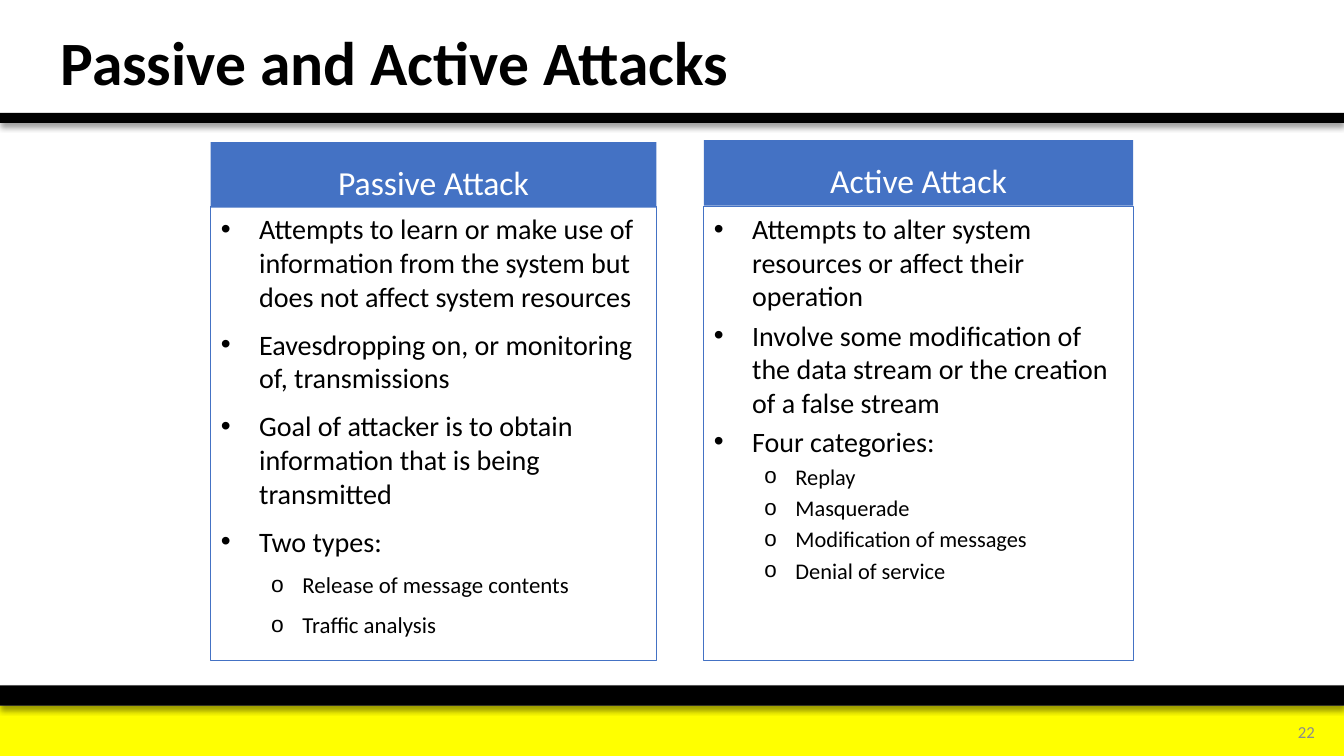
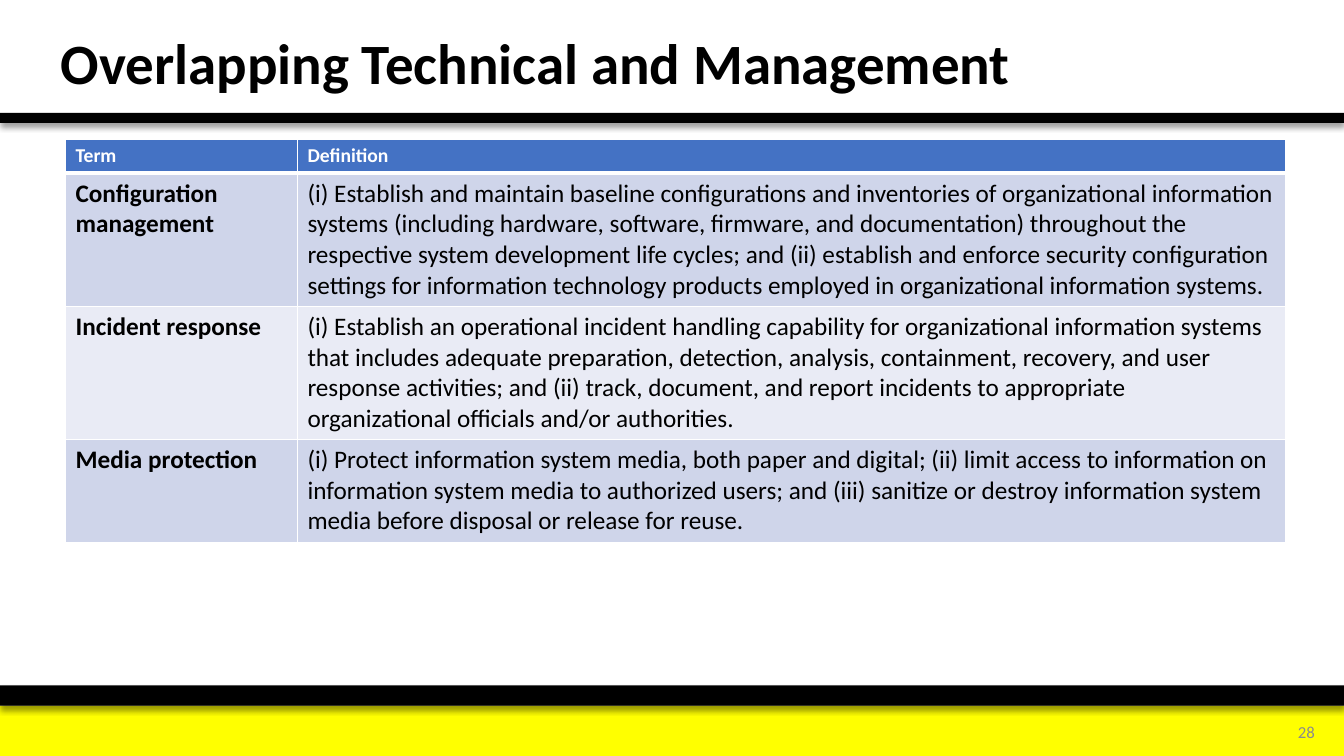
from dataclasses import dataclass

from lxml.etree import SubElement
from pptx import Presentation
from pptx.dml.color import RGBColor
from pptx.enum.shapes import MSO_SHAPE
from pptx.enum.text import MSO_ANCHOR, MSO_AUTO_SIZE, PP_ALIGN
from pptx.oxml import parse_xml
from pptx.oxml.ns import nsdecls, qn
from pptx.util import Emu, Pt

PX = 9144  # 100 px to the inch
PAGE_WIDTH, PAGE_HEIGHT = 1333, 750


@dataclass(frozen=True)
class Theme:
    font: str = "Calibri"
    ink: str = "000000"
    paper: str = "FFFFFF"
    accent: str = "4472C4"
    footer: str = "FFFF00"
    muted: str = "8C8C8C"
    stripes: tuple = ("CFD5EA", "E9EBF5")
    heading: float = 24
    number: float = 12
    table_head: float = 14
    table_body: float = 18


THEME = Theme()

# Content
ATTACKS = {"title": "Passive and Active Attacks", "title_size": 44, "number": "22"}
# Items are (level, text); sizes are given per level
COLUMNS = [
    {
        "heading": "Passive Attack", "left": 209, "top": 141, "width": 442,
        "sizes": (20.1, 16.3), "after": 6,
        "items": [
            (0, "Attempts to learn or make use of information from the system "
                "but does not affect system resources"),
            (0, "Eavesdropping on, or monitoring of, transmissions"),
            (0, "Goal of attacker is to obtain information that is being transmitted"),
            (0, "Two types:"),
            (1, "Release of message contents"),
            (1, "Traffic analysis"),
        ],
    },
    {
        "heading": "Active Attack", "left": 698, "top": 139, "width": 426,
        "sizes": (20, 16), "after": 0,
        "items": [
            (0, "Attempts to alter system resources or affect their operation"),
            (0, "Involve some modification of the data stream or the creation "
                "of a false stream"),
            (0, "Four categories:"),
            (1, "Replay"),
            (1, "Masquerade"),
            (1, "Modification of messages"),
            (1, "Denial of service"),
        ],
    },
]
HEADING_HEIGHT, LIST_TOP, LIST_HEIGHT = 65, 205, 450
BULLETS = [("•", 38, 38), ("o", 81, 31)]  # sign, left margin, hanging indent

OVERLAP = {"title": "Overlapping Technical and Management", "title_size": 40.7,
           "number": "28"}
TERMS = [
    ("Term", "Definition"),
    ("Configuration management",
     "(i) Establish and maintain baseline configurations and inventories of "
     "organizational information systems (including hardware, software, firmware, "
     "and documentation) throughout the respective system development life cycles; "
     "and (ii) establish and enforce security configuration settings for information "
     "technology products employed in organizational information systems."),
    ("Incident response",
     "(i) Establish an operational incident handling capability for organizational "
     "information systems that includes adequate preparation, detection, analysis, "
     "containment, recovery, and user response activities; and (ii) track, document, "
     "and report incidents to appropriate organizational officials and/or authorities."),
    ("Media protection",
     "(i) Protect information system media, both paper and digital; (ii) limit access "
     "to information on information system media to authorized users; and (iii) "
     "sanitize or destroy information system media before disposal or release for reuse."),
]
TABLE_LEFT, TABLE_TOP = 65, 138
COLUMN_WIDTHS = (230, 980)
ROW_HEIGHTS = (33, 132, 132, 102)


# Helpers
def px(*lengths):
    return [Emu(length * PX) for length in lengths]


def rgb(value):
    return RGBColor.from_string(value)


def style(para, size, color=THEME.ink, bold=False, align=PP_ALIGN.LEFT):
    para.alignment = align
    font = para.font
    font.name, font.size, font.bold = THEME.font, Pt(size), bold
    font.color.rgb = rgb(color)


def fill(target, color):
    target.fill.solid()
    target.fill.fore_color.rgb = rgb(color)


def place(box, left, top, width, height, anchor):
    box.left, box.top, box.width, box.height = px(left, top, width, height)
    frame = box.text_frame
    frame.word_wrap = True
    frame.auto_size = MSO_AUTO_SIZE.NONE
    frame.vertical_anchor = anchor
    return frame


def add_band(page, top, height, color, shadow=False):
    band = page.shapes.add_shape(MSO_SHAPE.RECTANGLE, *px(0, top, PAGE_WIDTH, height))
    fill(band, color)
    band.line.fill.background()
    band.shadow.inherit = False
    if shadow:
        effects = band._element.spPr.find(qn("a:effectLst"))
        effects.append(parse_xml(
            f'<a:outerShdw {nsdecls("a")} blurRad="{Pt(4)}" dist="{Pt(3)}" '
            f'dir="5400000" algn="t" rotWithShape="0"><a:srgbClr val="{THEME.ink}">'
            '<a:alpha val="40000"/></a:srgbClr></a:outerShdw>'))
    return band


def add_page(deck, layout_name, content):
    """Add a slide with the bands, page number and title that all slides share."""
    page = deck.slides.add_slide(deck.slide_layouts.get_by_name(layout_name))
    page.shapes.add_group_shape([
        add_band(page, 700, 50, THEME.footer),
        add_band(page, 680, 20, THEME.ink, shadow=True),
    ])
    add_band(page, 112, 10, THEME.ink, shadow=True)

    number = page.shapes.add_textbox(*px(0, 0, 1, 1))
    frame = place(number, 1238, 706, 76, 40, MSO_ANCHOR.MIDDLE)
    frame.text = content["number"]
    style(frame.paragraphs[0], THEME.number, THEME.muted, align=PP_ALIGN.RIGHT)

    frame = place(page.shapes.title, 50, 9, 968, 112, MSO_ANCHOR.MIDDLE)
    frame.text = content["title"]
    frame.paragraphs[0].line_spacing = 0.9
    style(frame.paragraphs[0], content["title_size"], bold=True)
    return page


def fill_list(frame, items, sizes, after):
    for index, (level, text) in enumerate(items):
        para = frame.paragraphs[0] if index == 0 else frame.add_paragraph()
        para.text, para.level = text, level
        para.space_before, para.space_after = Pt(sizes[level] * 0.2), Pt(after)
        sign, margin, hanging = BULLETS[level]
        properties = para._p.get_or_add_pPr()
        properties.set("marL", str(margin * PX))
        properties.set("indent", str(-hanging * PX))
        SubElement(properties, qn("a:buChar"), char=sign)
        style(para, sizes[level])


def set_borders(cell, bottom):
    properties = cell._tc.get_or_add_tcPr()
    widths = {"lnL": 1, "lnR": 1, "lnT": 1, "lnB": bottom}
    for index, (side, width) in enumerate(widths.items()):
        properties.insert(index, parse_xml(
            f'<a:{side} {nsdecls("a")} w="{Pt(width)}"><a:solidFill>'
            f'<a:srgbClr val="{THEME.paper}"/></a:solidFill></a:{side}>'))


# Slides
def build_attacks(deck):
    page = add_page(deck, "Comparison", ATTACKS)
    boxes = {box.placeholder_format.idx: box for box in page.placeholders}
    for column, heading_id in zip(COLUMNS, (1, 3)):
        left, width = column["left"], column["width"]
        heading, body = boxes[heading_id], boxes[heading_id + 1]

        frame = place(heading, left, column["top"], width, HEADING_HEIGHT,
                      MSO_ANCHOR.BOTTOM)
        fill(heading, THEME.accent)
        frame.text = column["heading"]
        style(frame.paragraphs[0], THEME.heading, THEME.paper, align=PP_ALIGN.CENTER)

        frame = place(body, left, LIST_TOP, width, LIST_HEIGHT, MSO_ANCHOR.TOP)
        body.line.color.rgb = rgb(THEME.accent)
        body.line.width = Pt(0.75)
        fill_list(frame, column["items"], column["sizes"], column["after"])


def build_overlap(deck):
    page = add_page(deck, "Title Only", OVERLAP)
    table = page.shapes.add_table(
        len(TERMS), len(COLUMN_WIDTHS),
        *px(TABLE_LEFT, TABLE_TOP, sum(COLUMN_WIDTHS), sum(ROW_HEIGHTS))).table
    for column, width in zip(table.columns, px(*COLUMN_WIDTHS)):
        column.width = width
    for row, height in zip(table.rows, px(*ROW_HEIGHTS)):
        row.height = height

    for row_index, texts in enumerate(TERMS):
        is_head = row_index == 0
        for column_index, text in enumerate(texts):
            cell = table.cell(row_index, column_index)
            cell.text = text
            fill(cell, THEME.accent if is_head else THEME.stripes[(row_index - 1) % 2])
            set_borders(cell, bottom=3 if is_head else 1)
            style(cell.text_frame.paragraphs[0],
                  THEME.table_head if is_head else THEME.table_body,
                  THEME.paper if is_head else THEME.ink,
                  bold=is_head or column_index == 0)


def main():
    deck = Presentation()
    deck.slide_width, deck.slide_height = px(PAGE_WIDTH, PAGE_HEIGHT)
    build_attacks(deck)
    build_overlap(deck)
    deck.save("out.pptx")


if __name__ == "__main__":
    main()
